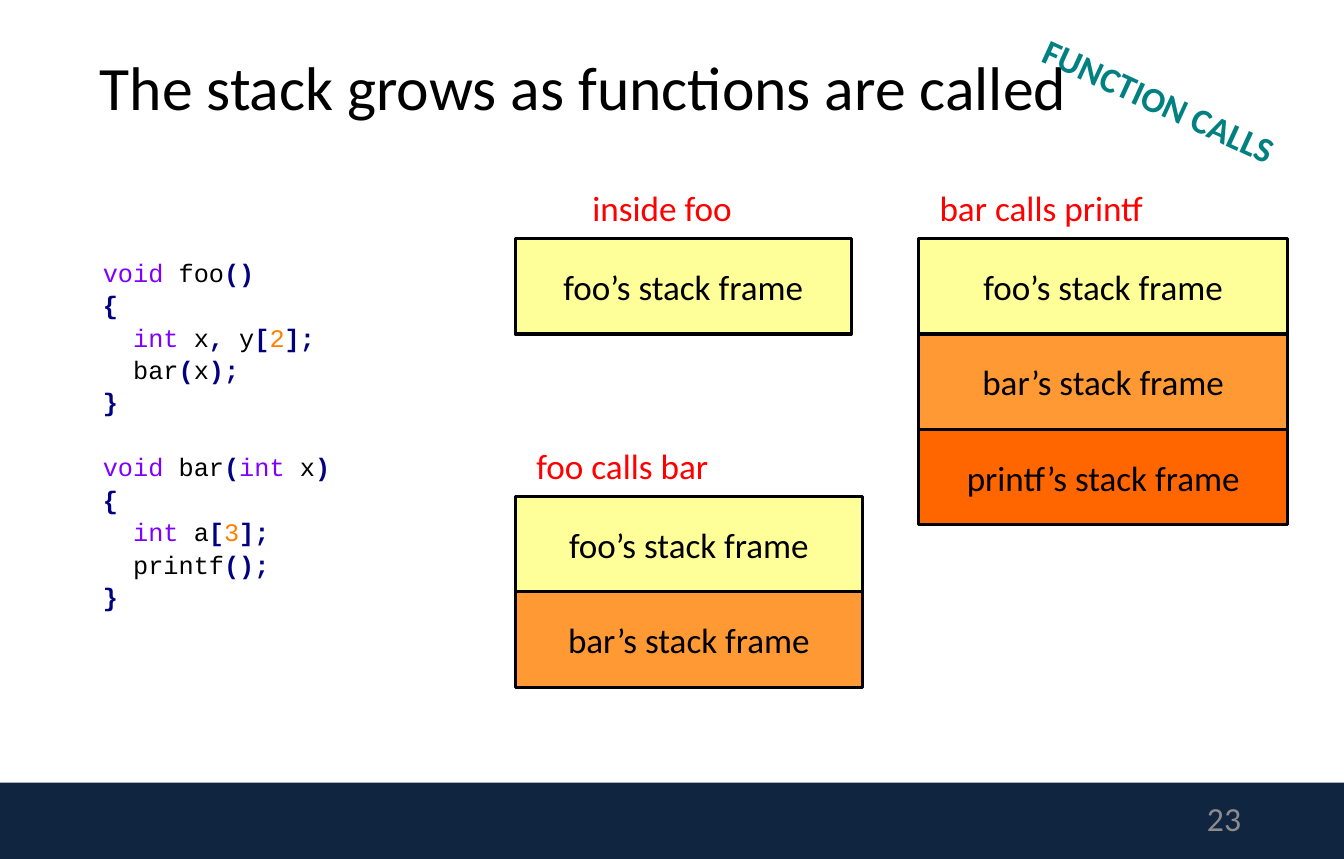
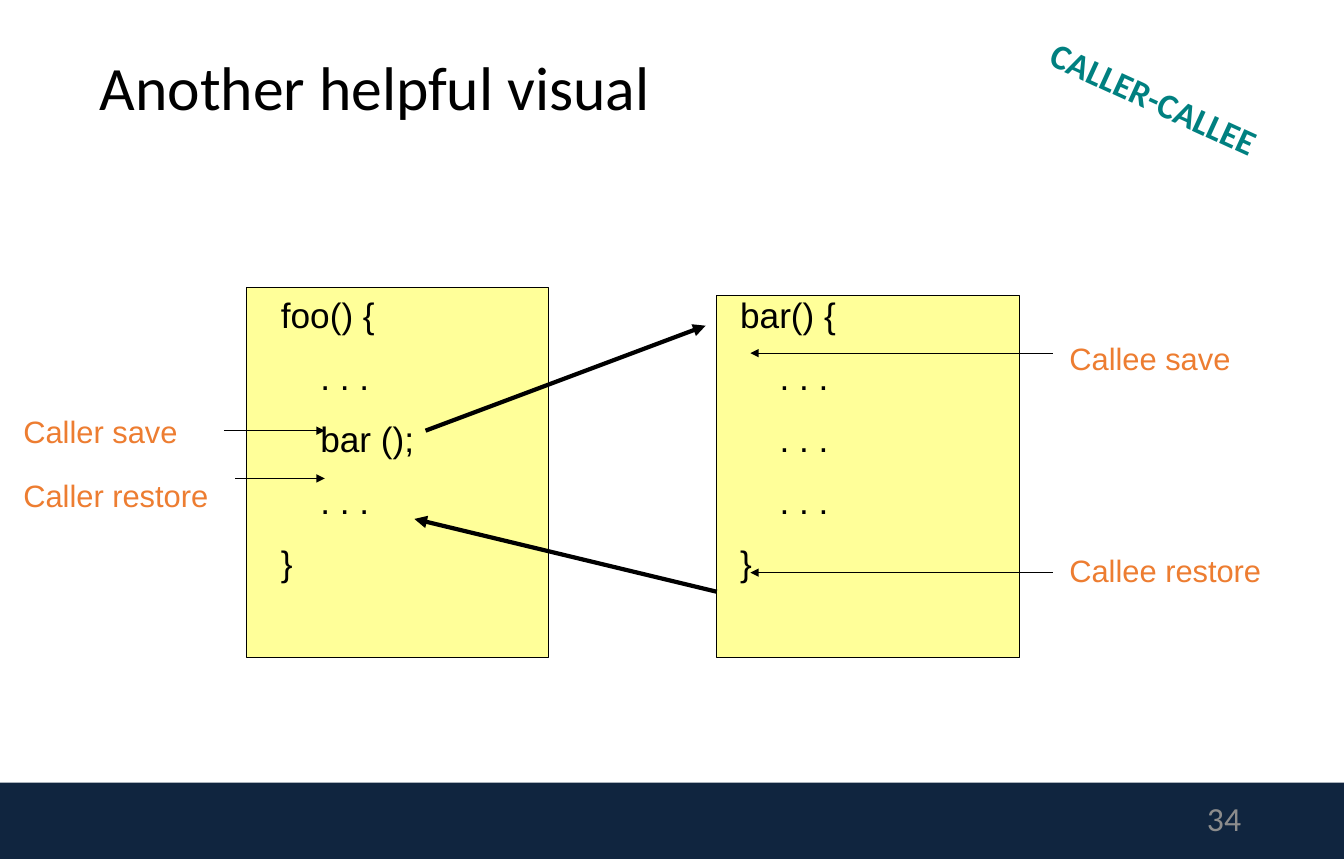
from itertools import groupby

from lxml.etree import SubElement
from pptx import Presentation
from pptx.dml.color import RGBColor
from pptx.enum.shapes import MSO_CONNECTOR, MSO_SHAPE
from pptx.enum.text import MSO_ANCHOR, MSO_AUTO_SIZE, PP_ALIGN
from pptx.oxml.ns import qn
from pptx.util import Inches, Pt

WIDTH, HEIGHT = 13.3, 8.5
COLS, ROWS = 120, 72
BLACK, YELLOW, ORANGE, DEEP_ORANGE = "000000", "FFFF99", "FF9933", "FF6600"
NAVY, GREY = "10253F", "8C8C8C"

TITLE = dict(name="Calibri", size=43.9, color=BLACK)
NUMBER = dict(name="Calibri", size=24, color=GREY)
TAG = dict(name="Calibri", size=25.1, color="008080", bold=True)
CAPTION = dict(name="Calibri", size=25.1, color="FF0000")
FRAME = dict(name="Calibri", size=25, color=BLACK)
LISTING = dict(name="Arial", size=25.1, color=BLACK)
NOTE = dict(name="Arial", size=22, color="ED7D31")
CODE = dict(name="Courier New", size=18, color=BLACK)
TOKENS = {
    "keyword": dict(CODE, color="8000FF"),
    "number": dict(CODE, color="FF8000"),
    "symbol": dict(CODE, color="000080", bold=True),
    "plain": CODE,
}
WIDE_INSETS = (0.12, 0.06)
DEFAULT_INSETS = (0.1, 0.05)

FOO_CODE = ["void foo()", "{", "  int x, y[2];", "  bar(x);", "}"]
BAR_CODE = ["void bar(int x)", "{", "  int a[3];", "  printf();", "}"]
STACK_FRAMES = [("foo", YELLOW), ("bar", ORANGE), ("printf", DEEP_ORANGE)]


def rgb(value):
    """Turn a hex string into a colour."""
    return RGBColor.from_string(value)


def grid(x, y, *size):
    """Turn columns and rows into lengths."""
    units = (WIDTH / COLS, HEIGHT / ROWS) * 2
    return [Inches(n * unit) for n, unit in zip((x, y, *size), units)]


def add_run(p, text, style):
    """Add a run formatted from a dict of font values."""
    r = p.add_run()
    r.text = text
    for key, value in style.items():
        if key == "color":
            r.font.color.rgb = rgb(value)
        else:
            setattr(r.font, key, Pt(value) if key == "size" else value)


def set_indent(p, length):
    """Indent a whole paragraph."""
    pPr = p._p.get_or_add_pPr()
    pPr.set("marL", str(length))
    pPr.set("indent", "0")


def set_frame(tf, insets, **values):
    """Set insets and other text frame values."""
    side, edge = (Inches(n) for n in insets)
    values = dict(values, margin_left=side, margin_right=side,
                  margin_top=edge, margin_bottom=edge)
    for key, value in values.items():
        setattr(tf, key, value)
    return tf


def add_text(shapes, at, text, style, insets=DEFAULT_INSETS, rotation=0):
    """Add a one-line label that does not wrap."""
    sp = shapes.add_textbox(*grid(*at))
    sp.rotation = rotation
    tf = set_frame(sp.text_frame, insets, word_wrap=False,
                   auto_size=MSO_AUTO_SIZE.SHAPE_TO_FIT_TEXT)
    add_run(tf.paragraphs[0], text, style)


def add_box(shapes, at, fill, line_width=0):
    """Add a flat rectangle with an optional black outline."""
    sp = shapes.add_shape(MSO_SHAPE.RECTANGLE, *grid(*at))
    sp.shadow.inherit = False
    sp.fill.solid()
    sp.fill.fore_color.rgb = rgb(fill)
    if line_width:
        sp.line.color.rgb = rgb(BLACK)
        sp.line.width = Pt(line_width)
    else:
        sp.line.fill.background()
    return sp


def add_arrow(s, start, end, width=0.75):
    """Add a black arrow with its head at the end point."""
    cxn = s.shapes.add_connector(MSO_CONNECTOR.STRAIGHT, *grid(*start), *grid(*end))
    cxn.line.color.rgb = rgb(BLACK)
    cxn.line.width = Pt(width)
    SubElement(cxn.line._get_or_add_ln(), qn("a:tailEnd"), type="triangle")
    SubElement(cxn._element.spPr, qn("a:effectLst"))


def add_stack(s, x, y, width, depth, caption, shift, caption_width):
    """Add a captioned stack with the given number of frames."""
    shapes = s.shapes.add_group_shape().shapes
    add_text(shapes, (x + shift, y - 4.8, caption_width, 5.2), caption, CAPTION)
    for row, (name, fill) in enumerate(STACK_FRAMES[:depth]):
        sp = add_box(shapes, (x, y + 8 * row, width, 8), fill, 2.25)
        tf = set_frame(sp.text_frame, DEFAULT_INSETS, word_wrap=False,
                       vertical_anchor=MSO_ANCHOR.MIDDLE)
        tf.paragraphs[0].alignment = PP_ALIGN.CENTER
        add_run(tf.paragraphs[0], f"{name}’s stack frame", FRAME)


def char_kind(char):
    """Sort a character into word, number, plain or symbol."""
    if char.isalpha():
        return "word"
    if char.isdigit():
        return "number"
    return "plain" if char == " " else "symbol"


def add_code(s, at, functions):
    """Add highlighted source code, with a gap between functions."""
    tf = set_frame(s.shapes.add_textbox(*grid(*at)).text_frame, WIDE_INSETS,
                   word_wrap=True)
    for i, lines in enumerate(functions):
        for j, line in enumerate(lines):
            p = tf.add_paragraph() if i or j else tf.paragraphs[0]
            p.line_spacing = Pt(23.1)
            p.space_before = Pt(23.1 if i and not j else 0)
            code = line.lstrip()
            set_indent(p, Inches(0.15 * (len(line) - len(code))))
            for kind, chars in groupby(code, char_kind):
                token = "".join(chars)
                if kind == "word":
                    kind = "keyword" if token in ("void", "int") else "plain"
                add_run(p, token, TOKENS[kind])


def add_listing(s, box, at, head, body):
    """Add a yellow box with a function outline over it."""
    add_box(s.shapes, box, YELLOW, 0.75)
    tf = set_frame(s.shapes.add_textbox(*grid(*at)).text_frame, WIDE_INSETS,
                   word_wrap=True)
    for i, line in enumerate([head, *body, "}"]):
        p = tf.add_paragraph() if i else tf.paragraphs[0]
        p.space_before = Pt(14 if i else 0)
        set_indent(p, Inches(0.39 if line in body else 0))
        add_run(p, line, LISTING)


def set_layout(layout, s):
    """Put the shared band and title position on the layout."""
    band = add_box(s.shapes, (0, 65.6, COLS, 6.4), NAVY)
    layout.shapes.element.insert(2, band.element)
    sp = layout.placeholders[0]
    sp.left, sp.top, sp.width, sp.height = grid(8, 3.2, 105, 8.8)


def add_slide(prs, layout, title, tag, tag_at, number):
    """Add a slide with its title, slanted tag and number."""
    s = prs.slides.add_slide(layout)
    tf = set_frame(s.shapes.title.text_frame, DEFAULT_INSETS, word_wrap=True,
                   auto_size=MSO_AUTO_SIZE.NONE,
                   vertical_anchor=MSO_ANCHOR.MIDDLE)
    p = tf.paragraphs[0]
    p.alignment, p.line_spacing = PP_ALIGN.LEFT, 0.9
    add_run(p, title, TITLE)
    add_text(s.shapes, tag_at, tag, TAG, WIDE_INSETS, 24.6)
    sp = s.shapes.add_textbox(*grid(84.7, 66.7, 27, 3.8))
    tf = set_frame(sp.text_frame, DEFAULT_INSETS, word_wrap=True,
                   vertical_anchor=MSO_ANCHOR.MIDDLE)
    tf.paragraphs[0].alignment = PP_ALIGN.RIGHT
    add_run(tf.paragraphs[0], number, NUMBER)
    return s


def add_growth(s):
    """Show the stack at each call beside the code."""
    add_code(s, (8.1, 20.85, 30, 33.9), [FOO_CODE, BAR_CODE])
    add_stack(s, 46, 20, 30, 1, "inside foo", 6, 16.9)
    add_stack(s, 46, 41.6, 31, 2, "foo calls bar", 1, 20.4)
    add_stack(s, 82, 20, 33, 3, "bar calls printf", 1, 23.8)


def add_visual(s):
    """Show where caller and callee save and restore."""
    dots = ". . ."
    add_listing(s, (22, 24.1, 27, 31), (24, 24.1, 24, 31),
                "foo() {", [dots, "bar ();", dots])
    add_listing(s, (64, 24.8, 27, 30.3), (65, 24.1, 24, 31),
                "bar() {", [dots] * 3)
    for start, end in [((38, 36.1), (63, 27.3)), ((64, 49.6), (37, 43.5))]:
        add_arrow(s, start, end, 3)
    for x, tip, y in [(20, 29, 36.1), (21, 29, 40.1), (94, 67, 29.6), (94, 67, 48)]:
        add_arrow(s, (x, y), (tip, y))
    for text, x, y, width in [("Caller save", 1, 34.1, 16.2),
                              ("Caller restore", 1, 39.4, 19),
                              ("Callee save", 94.4, 28, 16.8),
                              ("Callee restore", 94.4, 45.7, 19.6)]:
        add_text(s.shapes, (x, y, width, 4.2), text, NOTE, WIDE_INSETS)


def main():
    """Build both slides and save them."""
    prs = Presentation()
    prs.slide_width, prs.slide_height = Inches(WIDTH), Inches(HEIGHT)
    layout = prs.slide_layouts[5]
    s = add_slide(prs, layout, "The stack grows as functions are called",
                  "FUNCTION CALLS", (90.9, 7, 29.1, 5.3), "23")
    set_layout(layout, s)
    add_growth(s)
    s = add_slide(prs, layout, "Another helpful visual",
                  "CALLER-CALLEE", (91.7, 6.7, 26.1, 5.3), "34")
    add_visual(s)
    prs.save("out.pptx")


if __name__ == "__main__":
    main()
